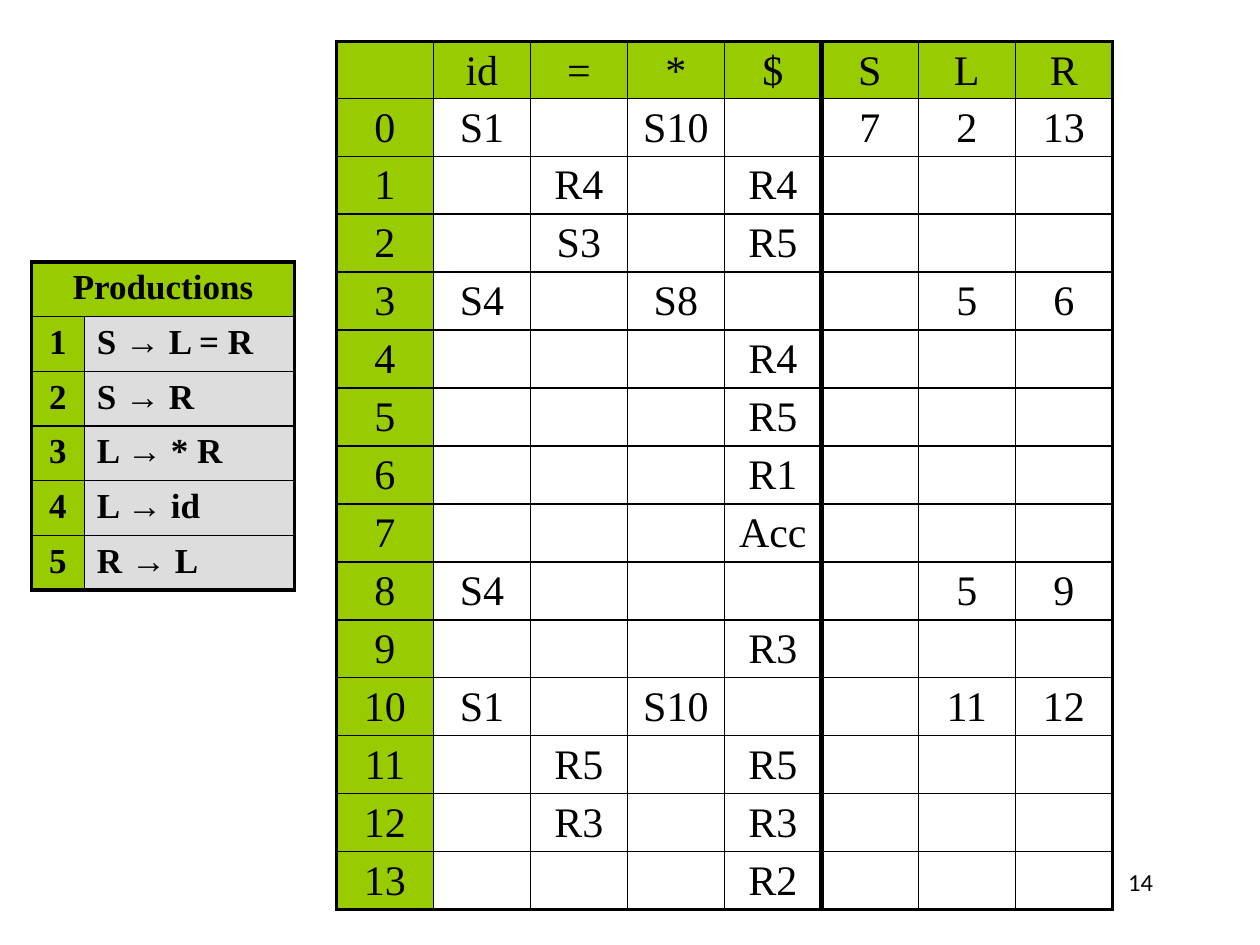
from lxml import etree
from pptx import Presentation
from pptx import util as u
from pptx.dml.color import RGBColor
from pptx.enum import text
from pptx.oxml import ns

BLACK = RGBColor(0x00, 0x00, 0x00)
GREEN = RGBColor(0x99, 0xCC, 0x00)
GRAY = RGBColor(0xDD, 0xDD, 0xDD)
THIN, OUTER, DIVIDER = 1, 2.25, 3
CENTER, LEFT, RIGHT = text.PP_ALIGN.CENTER, text.PP_ALIGN.LEFT, text.PP_ALIGN.RIGHT

PARSE_HEADER = ["", "id", "=", "*", "$", "S", "L", "R"]
PARSE_STATES = [
    ["S1", "", "S10", "", "7", "2", "13"],
    ["", "R4", "", "R4", "", "", ""],
    ["", "S3", "", "R5", "", "", ""],
    ["S4", "", "S8", "", "", "5", "6"],
    ["", "", "", "R4", "", "", ""],
    ["", "", "", "R5", "", "", ""],
    ["", "", "", "R1", "", "", ""],
    ["", "", "", "Acc", "", "", ""],
    ["S4", "", "", "", "", "5", "9"],
    ["", "", "", "R3", "", "", ""],
    ["S1", "", "S10", "", "", "11", "12"],
    ["", "R5", "", "R5", "", "", ""],
    ["", "R3", "", "R3", "", "", ""],
    ["", "", "", "R2", "", "", ""],
]
PRODUCTIONS = ["S → L = R", "S → R", "L → * R", "L → id", "R → L"]


class SlideBuilder:
    table_font = "Times New Roman"
    number_font = "Calibri"

    def __init__(self, slide):
        self.slide = slide

    def style_text(self, paragraph, words, font, size, align, bold=False):
        paragraph.text = words
        paragraph.alignment = align
        paragraph.font.name = font
        paragraph.font.size = u.Pt(size)
        paragraph.font.bold = bold
        paragraph.font.color.rgb = BLACK

    def number(self, words, left, top, width, height):
        box = self.slide.shapes.add_textbox(
            u.Inches(left), u.Inches(top), u.Inches(width), u.Inches(height))
        box.text_frame.word_wrap = True
        self.style_text(box.text_frame.paragraphs[0], words, self.number_font, 14, RIGHT)

    def border(self, cell, **widths):
        properties = cell._tc.get_or_add_tcPr()
        for side in "LRTB":
            line = etree.SubElement(properties, ns.qn(f"a:ln{side}"),
                                    w=str(u.Pt(widths[side])))
            fill = etree.SubElement(line, ns.qn("a:solidFill"))
            etree.SubElement(fill, ns.qn("a:srgbClr"), val=str(BLACK))

    def table(self, rows, left, top, widths, heights, size, body_fill=None,
              body_align=CENTER, bold=False, divider=None, margins=None,
              merge_title=False):
        table = self.slide.shapes.add_table(
            len(rows), len(widths), u.Inches(left), u.Inches(top),
            u.Inches(sum(widths)), u.Inches(sum(heights))).table
        table.first_row = table.horz_banding = False
        for column, width in zip(table.columns, widths):
            column.width = u.Inches(width)
        for row, height in zip(table.rows, heights):
            row.height = u.Inches(height)
        if merge_title:
            table.cell(0, 0).merge(table.cell(0, len(widths) - 1))

        def column_edge(position):
            if position in (0, len(widths)):
                return OUTER
            return DIVIDER if position == divider else THIN

        def row_edge(position):
            return OUTER if position in (0, len(rows)) else THIN

        for i, row in enumerate(rows):
            for j, words in enumerate(row):
                cell = table.cell(i, j)
                heading = i == 0 or j == 0
                if margins:
                    (cell.margin_left, cell.margin_top,
                     cell.margin_right, cell.margin_bottom) = map(u.Inches, margins)
                right = j + cell.span_width if cell.is_merge_origin else j + 1
                self.border(cell, L=column_edge(j), R=column_edge(right),
                            T=row_edge(i), B=row_edge(i + 1))
                fill = GREEN if heading else body_fill
                if fill is None:
                    cell.fill.background()
                else:
                    cell.fill.solid()
                    cell.fill.fore_color.rgb = fill
                self.style_text(cell.text_frame.paragraphs[0], words, self.table_font,
                                size, CENTER if heading else body_align, bold)


def main():
    presentation = Presentation()
    presentation.slide_width = u.Inches(10)
    presentation.slide_height = u.Inches(7.5)
    builder = SlideBuilder(presentation.slides.add_slide(presentation.slide_layouts[6]))

    builder.number("14", 7.17, 6.83, 2.08, 0.5)

    states = [[str(i), *actions] for i, actions in enumerate(PARSE_STATES)]
    builder.table([PARSE_HEADER, *states], 2.67, 0.33, [0.77] * 8,
                  [0.42] + [0.46] * len(states), 24, divider=5,
                  margins=(0, 0.05, 0, 0))

    rules = [[str(i), rule] for i, rule in enumerate(PRODUCTIONS, 1)]
    builder.table([["Productions", ""], *rules], 0.25, 2.08, [0.42, 1.67],
                  [0.41] * (len(rules) + 1), 20, body_fill=GRAY, body_align=LEFT,
                  bold=True, merge_title=True)

    presentation.save("out.pptx")


if __name__ == "__main__":
    main()
